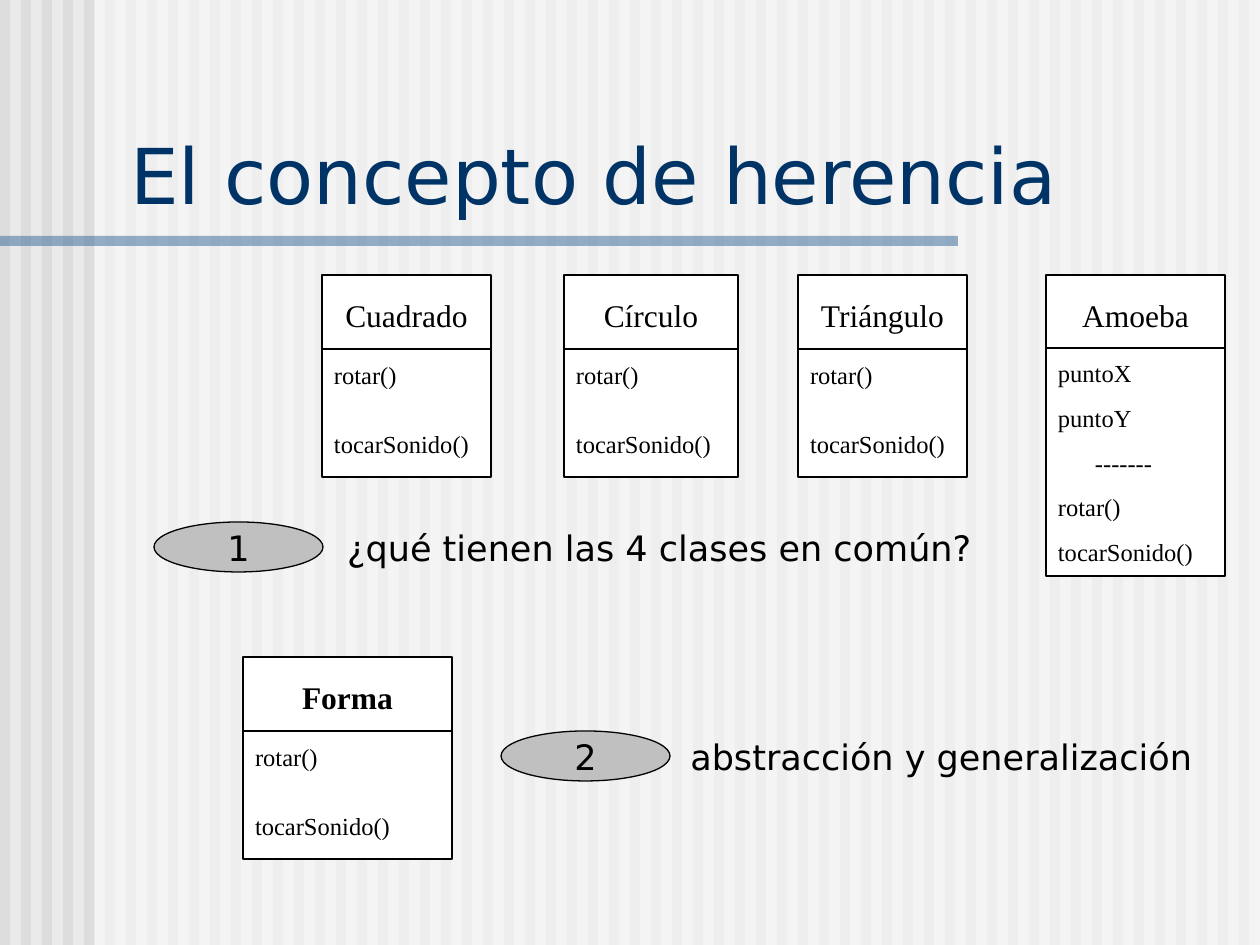
from dataclasses import dataclass

from lxml import etree
from pptx import Presentation
from pptx.dml.color import RGBColor
from pptx.enum.shapes import MSO_SHAPE
from pptx.enum.text import MSO_ANCHOR, PP_ALIGN
from pptx.oxml.ns import qn
from pptx.util import Pt

RECTANGLE, OVAL = MSO_SHAPE.RECTANGLE, MSO_SHAPE.OVAL
LEFT, CENTER = PP_ALIGN.LEFT, PP_ALIGN.CENTER
TOP, MIDDLE, BOTTOM = MSO_ANCHOR.TOP, MSO_ANCHOR.MIDDLE, MSO_ANCHOR.BOTTOM

EMU_PER_PX = 914400 / 126
SLIDE_WIDTH, SLIDE_HEIGHT = 1260, 945
STRIPE_WIDTH, STRIPE_PITCH = 10, 21
HEADER_HEIGHT, BODY_HEIGHT = 74, 128
BADGE_WIDTH, BADGE_HEIGHT = 169, 50


@dataclass(frozen=True)
class Theme:
    background: str = "EAEAEA"
    stripe: str = "DDDDDD"
    paper: str = "FFFFFF"
    rule: str = "336699"
    title: str = "003366"
    ink: str = "000000"
    badge: str = "C0C0C0"
    sans: str = "DejaVu Sans"
    serif: str = "Times New Roman"
    title_size: int = 44
    label_size: int = 20
    class_size: int = 18
    member_size: int = 14
    line_width: float = 0.75


def px(length):
    return round(length * EMU_PER_PX)


class SlideBuilder:
    def __init__(self, slide, theme):
        self.slide = slide
        self.theme = theme

    def background(self):
        fill = self.slide.background.fill
        fill.solid()
        fill.fore_color.rgb = RGBColor.from_string(self.theme.background)

    def shape(self, kind, box, color, outlined=False, opacity=100):
        shape = self.slide.shapes.add_shape(kind, *map(px, box))
        shape.shadow.inherit = False
        shape.fill.solid()
        shape.fill.fore_color.rgb = RGBColor.from_string(color)
        if opacity < 100:
            color_element = shape._element.spPr.find(f"{qn('a:solidFill')}/{qn('a:srgbClr')}")
            etree.SubElement(color_element, qn("a:alpha"), val=str(opacity * 1000))
        if outlined:
            shape.line.color.rgb = RGBColor.from_string(self.theme.ink)
            shape.line.width = Pt(self.theme.line_width)
        else:
            shape.line.fill.background()
        return shape

    def add_lines(self, shape, lines, size, font=None, color=None, bold=False, align=CENTER,
                  anchor=MIDDLE, insets=(0, 0, 0, 0), spacing=1.02, gap=0, indents=None):
        frame = shape.text_frame
        frame.word_wrap = True
        frame.vertical_anchor = anchor
        (frame.margin_left, frame.margin_top,
         frame.margin_right, frame.margin_bottom) = map(px, insets)
        for index, line in enumerate(lines):
            paragraph = frame.add_paragraph() if index else frame.paragraphs[0]
            paragraph.alignment = align
            paragraph.line_spacing = spacing
            paragraph.space_before = Pt(gap if index else 0)
            if indents and line in indents:
                paragraph._p.get_or_add_pPr().set("marL", str(px(indents[line])))
            run = paragraph.add_run()
            run.text = line
            run.font.name = font or self.theme.sans
            run.font.size = Pt(size)
            run.font.bold = bold
            run.font.color.rgb = RGBColor.from_string(color or self.theme.ink)

    def text(self, box, line, size, **style):
        self.add_lines(self.slide.shapes.add_textbox(*map(px, box)), [line], size, **style)

    def badge(self, left, top, number):
        shape = self.shape(OVAL, (left, top, BADGE_WIDTH, BADGE_HEIGHT),
                           self.theme.badge, outlined=True)
        self.add_lines(shape, [number], self.theme.label_size)

    def class_header(self, left, top, width, name, bold=False):
        shape = self.shape(RECTANGLE, (left, top, width, HEADER_HEIGHT),
                           self.theme.paper, outlined=True)
        self.add_lines(shape, [name], self.theme.class_size, font=self.theme.serif,
                       bold=bold, insets=(12, 6, 12, 6), spacing=1.16)

    def class_body(self, left, top, width, height, members, **style):
        shape = self.shape(RECTANGLE, (left, top, width, height),
                           self.theme.paper, outlined=True)
        self.add_lines(shape, members, self.theme.member_size, font=self.theme.serif,
                       align=LEFT, **style)

    def simple_class(self, left, top, width, name, bold=False):
        self.class_header(left, top, width, name, bold)
        self.class_body(left, top + HEADER_HEIGHT, width, BODY_HEIGHT,
                        ["rotar()", "tocarSonido()"], anchor=TOP,
                        insets=(12, 6, 12, 6), spacing=1.16, gap=20)


def main():
    presentation = Presentation()
    presentation.slide_width, presentation.slide_height = px(SLIDE_WIDTH), px(SLIDE_HEIGHT)
    slide = presentation.slides.add_slide(presentation.slide_layouts[6])
    theme = Theme()
    builder = SlideBuilder(slide, theme)

    # Striped background, veil and title rule
    builder.background()
    for left in range(0, SLIDE_WIDTH, STRIPE_PITCH):
        builder.shape(RECTANGLE, (left, 0, STRIPE_WIDTH, SLIDE_HEIGHT), theme.stripe)
    builder.shape(RECTANGLE, (95, 0, SLIDE_WIDTH - 95, SLIDE_HEIGHT), theme.paper, opacity=50)
    builder.shape(RECTANGLE, (0, 236, 958, 10), theme.rule, opacity=50)

    # Title
    builder.text((120, 118, 1125, 105), "El concepto de herencia", theme.title_size,
                 color=theme.title, align=LEFT, anchor=BOTTOM,
                 insets=(10, 3, 10, 3), spacing=1.0)

    # Generalized class
    builder.simple_class(243, 657, 209, "Forma", bold=True)

    # Four concrete classes
    classes_top = 275
    for left, width, name in [(564, 174, "Círculo"), (322, 169, "Cuadrado"),
                              (798, 169, "Triángulo")]:
        builder.simple_class(left, classes_top, width, name)
    builder.class_header(1046, classes_top, 179, "Amoeba")
    separator = "-------"
    builder.class_body(1046, 348, 179, 228,
                       ["puntoX", "puntoY", separator, "rotar()", "tocarSonido()"],
                       insets=(12, 0, 0, 0), gap=8.5, indents={separator: 37})

    # Numbered steps
    builder.badge(154, 522, "1")
    builder.text((292, 522, 735, BADGE_HEIGHT), "¿qué tienen las 4 clases en común?",
                 theme.label_size)
    builder.badge(501, 731, "2")
    builder.text((679, 731, 525, BADGE_HEIGHT), "abstracción y generalización",
                 theme.label_size)

    presentation.save("out.pptx")


if __name__ == "__main__":
    main()
